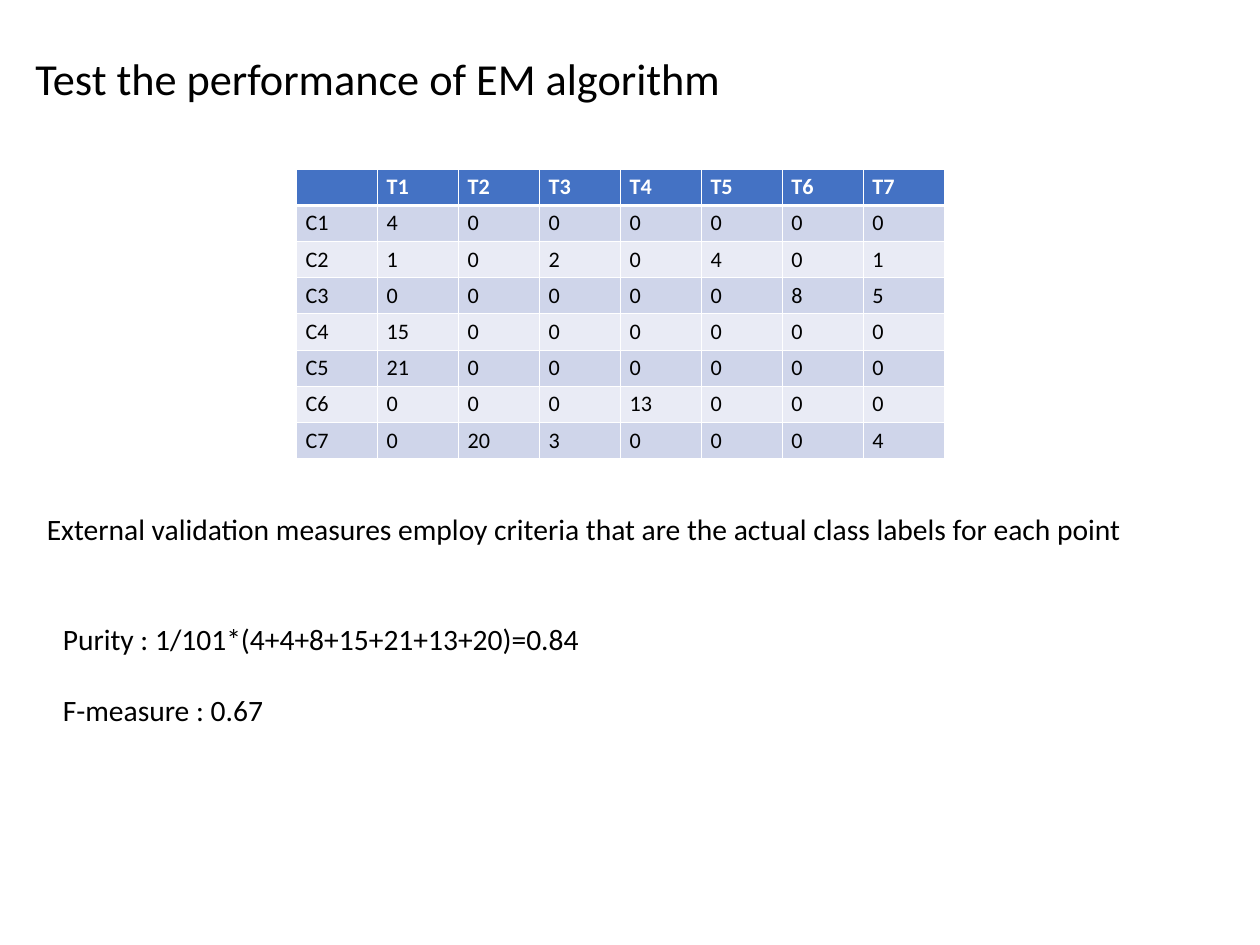
"""Build the slide on the performance of the EM algorithm."""
from lxml import etree
from pptx import Presentation
from pptx.dml.color import RGBColor
from pptx.enum.text import MSO_AUTO_SIZE
from pptx.oxml.ns import qn
from pptx.util import Inches, Pt

FIT_SHAPE = MSO_AUTO_SIZE.SHAPE_TO_FIT_TEXT
FONT = "Calibri"
BLACK = "000000"
WHITE = "FFFFFF"
HEADER_FILL = "4472C4"
BAND_FILLS = ("CFD5EA", "E9EBF5")
CELL_SIZE = (0.914, 0.409)
PARAGRAPH_GAP = 29.3

COUNTS = [
    [4, 0, 0, 0, 0, 0, 0],
    [1, 0, 2, 0, 4, 0, 1],
    [0, 0, 0, 0, 0, 8, 5],
    [15, 0, 0, 0, 0, 0, 0],
    [21, 0, 0, 0, 0, 0, 0],
    [0, 0, 0, 13, 0, 0, 0],
    [0, 20, 3, 0, 0, 0, 4],
]


def color(hex_code):
    return RGBColor.from_string(hex_code)


def format_runs(paragraph, size, hex_code, bold=False):
    for run in paragraph.runs:
        run.font.name = FONT
        run.font.size = Pt(size)
        run.font.bold = bold
        run.font.color.rgb = color(hex_code)


def add_text(slide, box, lines, size, wrap=False):
    shape = slide.shapes.add_textbox(*map(Inches, box))
    text_frame = shape.text_frame
    text_frame.word_wrap = wrap
    text_frame.auto_size = FIT_SHAPE
    text_frame.text = "\n".join(lines)
    for index, paragraph in enumerate(text_frame.paragraphs):
        if index:
            paragraph.space_before = Pt(PARAGRAPH_GAP)
        format_runs(paragraph, size, BLACK)


def add_borders(cell, top, bottom):
    properties = cell._tc.get_or_add_tcPr()
    widths = {"a:lnL": 1, "a:lnR": 1, "a:lnT": top, "a:lnB": bottom}
    for tag, width in widths.items():
        line = etree.SubElement(properties, qn(tag), w=str(Pt(width)))
        fill = etree.SubElement(line, qn("a:solidFill"))
        etree.SubElement(fill, qn("a:srgbClr"), val=WHITE)


def style_cell(cell, row):
    is_header = row == 0
    add_borders(cell, top=3 if row == 1 else 1, bottom=3 if is_header else 1)
    cell.fill.solid()
    cell.fill.fore_color.rgb = color(HEADER_FILL if is_header else BAND_FILLS[(row - 1) % 2])
    text_color = WHITE if is_header else BLACK
    format_runs(cell.text_frame.paragraphs[0], 18, text_color, is_header)


def add_count_table(slide, left, top):
    header = [""] + [f"T{number}" for number in range(1, len(COUNTS[0]) + 1)]
    rows = [header] + [[f"C{number}", *counts] for number, counts in enumerate(COUNTS, 1)]
    width, height = CELL_SIZE
    table = slide.shapes.add_table(
        len(rows), len(header), Inches(left), Inches(top),
        Inches(width * len(header)), Inches(height * len(rows)),
    ).table
    for column in table.columns:
        column.width = Inches(width)
    for row, values in enumerate(rows):
        table.rows[row].height = Inches(height)
        for column, value in enumerate(values):
            cell = table.cell(row, column)
            cell.text = str(value)
            style_cell(cell, row)


def main():
    presentation = Presentation()
    presentation.slide_width = Inches(14.22)
    presentation.slide_height = Inches(10.67)
    slide = presentation.slides.add_slide(presentation.slide_layouts[6])

    add_count_table(slide, 3.35, 1.91)
    add_text(
        slide, (0.61, 6.96, 7.11, 1.31),
        ["Purity : 1/101*(4+4+8+15+21+13+20)=0.84", "F-measure : 0.67"],
        24, wrap=True,
    )
    add_text(
        slide, (0.43, 5.72, 12.43, 0.5),
        ["External validation measures employ criteria that are the actual class labels for each point"],
        24,
    )
    add_text(slide, (0.3, 0.53, 8.17, 0.71), ["Test the performance of EM algorithm"], 36)
    presentation.save("out.pptx")


if __name__ == "__main__":
    main()
